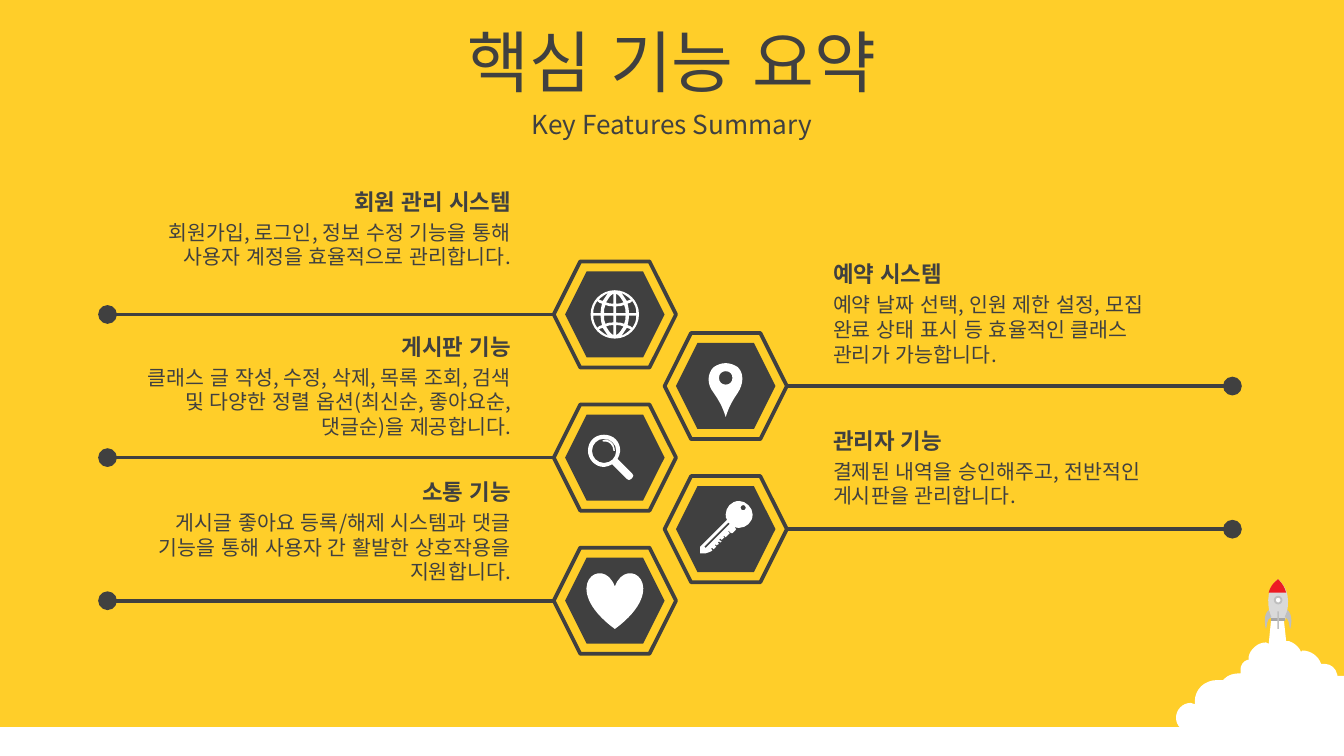
from dataclasses import dataclass
from itertools import chain

from lxml.etree import SubElement
from pptx import Presentation
from pptx.dml.color import RGBColor
from pptx.enum.lang import MSO_LANGUAGE_ID
from pptx.enum.shapes import MSO_CONNECTOR, MSO_SHAPE
from pptx.enum.text import MSO_ANCHOR, MSO_AUTO_SIZE, PP_ALIGN
from pptx.oxml.ns import qn
from pptx.util import Inches, Pt

YELLOW = RGBColor(0xFF, 0xCE, 0x29)
CHARCOAL = RGBColor(0x40, 0x40, 0x40)
WHITE = RGBColor(0xFF, 0xFF, 0xFF)
RED = RGBColor(0xED, 0x1C, 0x24)
LIGHT_GREY = RGBColor(0xD9, 0xD9, 0xD9)
MID_GREY = RGBColor(0xBF, 0xBF, 0xBF)
DARK_GREY = RGBColor(0xA6, 0xA6, 0xA6)
FONT, EAST_ASIAN_FONT = "Noto Sans CJK KR", "Arial"

WIDTH, HEIGHT = 10, 5.625
GROUND_TOP = 5.41
# Honeycomb: two columns, with a new hexagon every half row
HEX_X, HEX_Y = 4.575, 2.34
COLUMN_STEP, ROW_STEP = 1.65 / 2, 2.13 / 4
HEX_SIZE, CORE_SIZE = (0.91, 0.79), (0.74, 0.64)
LINE_ENDS = (0.8, 9.17)
TEXT_LEFT, TEXT_WIDTH = (1.07, 6.1), 2.83
BODY_DROP = 0.235

# Outlines are in hundredths of an inch; icons are centred on (0, 0).
GLOBE_RIM = ("M 0 -18 C 10 -18 18 -10 18 0 C 18 10 10 18 0 18 "
             "C -10 18 -18 10 -18 0 C -18 -10 -10 -18 0 -18")
GLOBE_QUARTER = ("M 9 10 C 8 12 6 14 5 16 C 7 15 10 13 12 11 C 11 11 10 10 9 10 "
                 "M 1 8 L 1 15.5 C 4 14 5 11 6.5 9 C 5 8 3 8 1 8 "
                 "M 10.5 1 C 10.5 4 10 6 9.5 8 C 11 8 12 9 13 10 C 15 7 16 5 16 1 "
                 "M 1 1 L 1 6 C 3 6 5 6 7 7 C 8 5 8 3 8 1")
PIN = ("M 0 -11 C -3 -11 -5 -9 -5 -6 C -5 -3 -3 -1 0 -1 C 3 -1 5 -3 5 -6 C 5 -9 3 -11 0 -11 "
       "M 0 -17 C 3 -17 6 -16 9 -14 C 14 -9 13 -1 9 5 C 5 11 3 14 0 23 "
       "C -3 14 -5 11 -9 5 C -14 -1 -14 -9 -9 -14 C -6 -16 -3 -17 0 -17")
MAGNIFIER = ("M 12 11 L 13 12 C 14 13 14 14 13 15 L 12 16 C 11 17 10 17 9 16 L 8 15 "
             "M -9 -13 C -7 -14 -4 -13 -2 -11 C -1 -10 0 -7 0 -5 L -1 -5 "
             "C -1 -7 -2 -9 -3 -10 C -5 -12 -7 -12 -9 -12 "
             "M -8 -14 C -13 -14 -17 -10 -17 -5 C -17 0 -13 4 -8 4 "
             "C -3 4 1 0 1 -5 C 1 -10 -3 -14 -8 -14 "
             "M -8 -17 C -1 -17 4 -12 4 -5 C 4 -3 3 -1 2 1 L 12 11 L 8 15 L -2 5 "
             "C -4 6 -6 7 -8 7 C -15 7 -20 1 -20 -5 C -20 -12 -15 -17 -8 -17")
KEY = ("M 2 -5 L -16 13 L -15 14 L 3 -4 "
       "M 13 -18 C 12 -18 11 -17 11 -16 C 11 -15 12 -14 13 -14 "
       "C 14 -14 15 -15 15 -16 C 15 -17 14 -18 13 -18 "
       "M 10 -21 C 15 -21 20 -16 20 -11 C 20 -5 15 -1 10 -1 C 9 -1 7 -1 6 -2 L 7 -1 "
       "C 8 0 8 0 7 1 L 5 3 L 4 3 L 2 1 L 2 2 L 3 3 L 2 4 L 1 3 L 2 4 L 0 6 L -1 5 L -2 5 "
       "L -1 6 L -3 8 L -4 7 L -5 8 L -3 9 L -4 10 L -5 9 L -6 10 L -5 11 L -7 12 L -8 11 "
       "L -8 12 L -7 13 L -9 15 L -10 14 L -11 14 L -10 16 L -12 17 L -15 18 L -19 18 "
       "L -19 13 L 1 -7 C 0 -8 0 -9 0 -11 C 0 -16 4 -21 10 -21")
CLOUD = ("M 946 459 L 955 459 L 957 477 L 959 477 C 962 478 965 480 967 483 L 968 485 "
         "L 969 484 C 975 484 981 488 983 494 L 986 494 C 990 494 994 497 995 502 L 995 503 "
         "L 1000 503 L 1000 560 L 998 560 C 994 560 990 559 987 557 L 985 557 "
         "C 983 558 981 559 978 559 C 975 559 973 557 971 555 L 969 554 "
         "C 967 558 964 559 960 559 C 957 559 954 558 952 556 L 951 555 L 949 556 "
         "C 945 559 940 561 934 561 C 923 561 917 556 913 551 C 911 553 907 554 904 553 "
         "C 900 552 894 550 893 545 L 893 543 L 892 544 C 891 545 889 545 886 545 "
         "C 880 545 875 540 875 534 C 875 528 880 523 886 523 L 889 524 L 889 522 "
         "C 889 513 896 506 906 506 L 910 506 L 911 505 C 914 502 918 501 923 501 L 923 498 "
         "C 923 495 925 492 928 491 L 929 491 L 929 489 C 930 483 936 478 942 478 L 944 479")
ROCKET_BODY = "M 946 462 C 944 453 940 440 951 431 C 962 441 958 454 956 462"
ROCKET_BASE = "M 946 460 L 956 460 L 956 462 L 946 462"
ROCKET_NOSE = "M 951 431 C 954 434 956 437 957 441 L 944 441 C 945 437 947 434 951 431"
ROCKET_FIN = "M -7 454 L -5 459 C -9 461 -8 466 -9 468 C -10 465 -11 457 -7 454"
ROCKET_X = 9.51

Segment = list[tuple[float, float]]
Contour = list[Segment]


@dataclass
class Feature:
    side: int  # 0 left, 1 right
    row: int
    heading: str
    body: str
    top: float
    body_height: float = 0.66
    extra_width: float = 0


FEATURES = [
    Feature(0, 0, "회원 관리 시스템",
            "회원가입, 로그인, 정보 수정 기능을 통해 사용자 계정을 효율적으로 관리합니다.", 1.35, 0.47),
    Feature(0, 2, "게시판 기능", "클래스 글 작성, 수정, 삭제, 목록 조회, 검색 및 다양한 정렬 옵션"
            "(최신순, 좋아요순, 댓글순)을 제공합니다.", 2.43, extra_width=0.24),
    Feature(0, 4, "소통 기능", "게시글 좋아요 등록/해제 시스템과 댓글 기능을 통해 "
            "사용자 간 활발한 상호작용을 지원합니다.", 3.51),
    Feature(1, 1, "예약 시스템", "예약 날짜 선택, 인원 제한 설정, 모집 완료 상태 표시 등 "
            "효율적인 클래스 관리가 가능합니다.", 1.89),
    Feature(1, 3, "관리자 기능", "결제된 내역을 승인해주고, 전반적인 게시판을 관리합니다.", 3.13, 0.47),
]


def trace(outline: str, x_sign: int = 1, y_sign: int = 1) -> list[Contour]:
    """Read M, L and C commands; a curve becomes a segment of three points."""
    contours: list[Contour] = []
    tokens = iter(outline.split())
    for command in tokens:
        count = 3 if command == "C" else 1
        segment = [(x_sign * float(next(tokens)), y_sign * float(next(tokens)))
                   for _ in range(count)]
        if command == "M":
            contours.append([])
        contours[-1].append(segment)
    return contours


def add_outline(slide, contours: list[Contour], color: RGBColor, x: float = 0, y: float = 0) -> None:
    placed = [[(Inches(x + px / 100), Inches(y + py / 100)) for px, py in chain(*contour)]
              for contour in contours]
    builder = slide.shapes.build_freeform(*placed[0][0])
    builder.add_line_segments(placed[0][1:])
    for points in placed[1:]:
        builder.move_to(*points[0])
        builder.add_line_segments(points[1:])
    shape = builder.convert_to_shape()
    bend_curves(shape, contours)
    paint(shape, color)


def bend_curves(shape, contours: list[Contour]) -> None:
    """Join the three line segments that stand for each curve into one Bezier."""
    lines = iter(list(shape._element.iter(qn("a:lnTo"))))
    for segment in chain.from_iterable(contour[1:] for contour in contours):
        curve, *rest = [next(lines) for _ in segment]
        if rest:
            curve.tag = qn("a:cubicBezTo")
            for line in rest:
                curve.append(line[0])
                line.getparent().remove(line)


def paint(shape, fill: RGBColor, line: RGBColor | None = None, points: float = 2) -> None:
    shape.shadow.inherit = False
    shape.fill.solid()
    shape.fill.fore_color.rgb = fill
    if line is None:
        shape.line.fill.background()
    else:
        shape.line.color.rgb = line
        shape.line.width = Pt(points)


def add_centred(slide, kind, x: float, y: float, size: tuple[float, float], *colors) -> None:
    """Draw a preset shape around the point (x, y)."""
    width, height = size
    paint(slide.shapes.add_shape(kind, Inches(x - width / 2), Inches(y - height / 2),
                                 Inches(width), Inches(height)), *colors)


def add_text(slide, text: str, box: tuple[float, float, float, float], size: float,
             align: PP_ALIGN, bold: bool = False, title: bool = False) -> None:
    frame = slide.shapes.add_textbox(*map(Inches, box)).text_frame
    frame.word_wrap = True
    frame.auto_size = MSO_AUTO_SIZE.NONE if title else MSO_AUTO_SIZE.SHAPE_TO_FIT_TEXT
    frame.vertical_anchor = MSO_ANCHOR.MIDDLE if title else MSO_ANCHOR.TOP
    paragraph = frame.paragraphs[0]
    paragraph.text = text
    paragraph.alignment = align
    font = paragraph.font
    font.size, font.bold, font.name = Pt(size), bold, FONT
    font.color.rgb = CHARCOAL
    font.language_id = MSO_LANGUAGE_ID.KOREAN
    properties = paragraph._p.pPr
    properties.set("hangingPunct", "0")
    SubElement(properties.find(qn("a:defRPr")), qn("a:ea"), typeface=EAST_ASIAN_FONT)


def add_feature_line(slide, start: float, end: float, y: float) -> None:
    line = slide.shapes.add_connector(MSO_CONNECTOR.STRAIGHT, *map(Inches, (start, y, end, y)))
    line.line.color.rgb = CHARCOAL
    line.line.width = Pt(2)
    SubElement(line.line._get_or_add_ln(), qn("a:tailEnd"), type="oval", w="lg", len="lg")
    SubElement(line._element.spPr, qn("a:effectLst"))


def add_feature(slide, feature: Feature) -> None:
    side = feature.side
    x, y = HEX_X + side * COLUMN_STEP, HEX_Y + feature.row * ROW_STEP
    outward = 1 if side else -1
    add_feature_line(slide, x + outward * HEX_SIZE[0] / 2, LINE_ENDS[side], y)
    align = PP_ALIGN.LEFT if side else PP_ALIGN.RIGHT
    left = TEXT_LEFT[side]
    add_text(slide, feature.body,
             (left - feature.extra_width, feature.top + BODY_DROP,
              TEXT_WIDTH + feature.extra_width, feature.body_height), 11, align)
    add_text(slide, feature.heading, (left, feature.top, TEXT_WIDTH, 0.3), 12, align, bold=True)
    add_centred(slide, MSO_SHAPE.HEXAGON, x, y, HEX_SIZE, YELLOW, CHARCOAL)
    add_centred(slide, MSO_SHAPE.HEXAGON, x, y, CORE_SIZE, CHARCOAL)
    if feature.row == 4:
        add_centred(slide, MSO_SHAPE.HEART, x, y, (0.42, 0.42), WHITE)
    else:
        globe = trace(GLOBE_RIM) + [contour for sx in (1, -1) for sy in (1, -1)
                                    for contour in trace(GLOBE_QUARTER, sx, sy)]
        icons = (globe, trace(PIN), trace(MAGNIFIER), trace(KEY))
        add_outline(slide, icons[feature.row], WHITE, x, y)


def add_scenery(slide) -> None:
    ground_height = HEIGHT - GROUND_TOP
    add_centred(slide, MSO_SHAPE.RECTANGLE, WIDTH / 2, GROUND_TOP + ground_height / 2,
                (WIDTH, ground_height), WHITE)
    for outline, color in ((CLOUD, WHITE), (ROCKET_BODY, LIGHT_GREY),
                           (ROCKET_BASE, DARK_GREY), (ROCKET_NOSE, RED)):
        add_outline(slide, trace(outline), color)
    add_centred(slide, MSO_SHAPE.OVAL, ROCKET_X, 4.465, (0.05, 0.05), WHITE, MID_GREY, 1)
    add_centred(slide, MSO_SHAPE.RECTANGLE, ROCKET_X, 4.615, (0.01, 0.13), MID_GREY)
    for sign in (1, -1):
        add_outline(slide, trace(ROCKET_FIN, sign), MID_GREY, ROCKET_X)


def main() -> None:
    deck = Presentation()
    deck.slide_width, deck.slide_height = Inches(WIDTH), Inches(HEIGHT)
    slide = deck.slides.add_slide(deck.slide_layouts[6])
    slide.background.fill.solid()
    slide.background.fill.fore_color.rgb = YELLOW
    add_scenery(slide)
    add_text(slide, "핵심 기능 요약", (0, 0.14, WIDTH, 0.63), 36, PP_ALIGN.CENTER, title=True)
    add_text(slide, "Key Features Summary", (0, 0.77, WIDTH, 0.31), 14, PP_ALIGN.CENTER, title=True)
    for feature in FEATURES:
        add_feature(slide, feature)
    deck.save("out.pptx")


if __name__ == "__main__":
    main()
